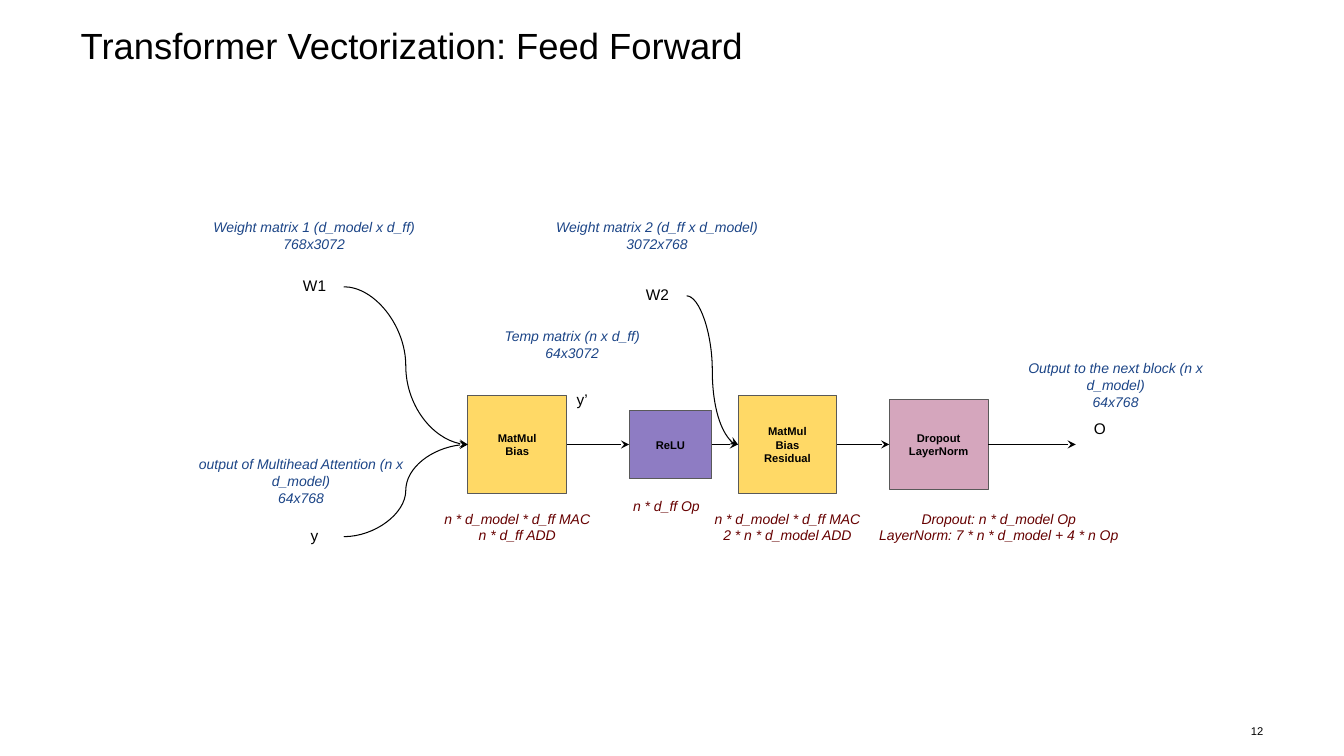
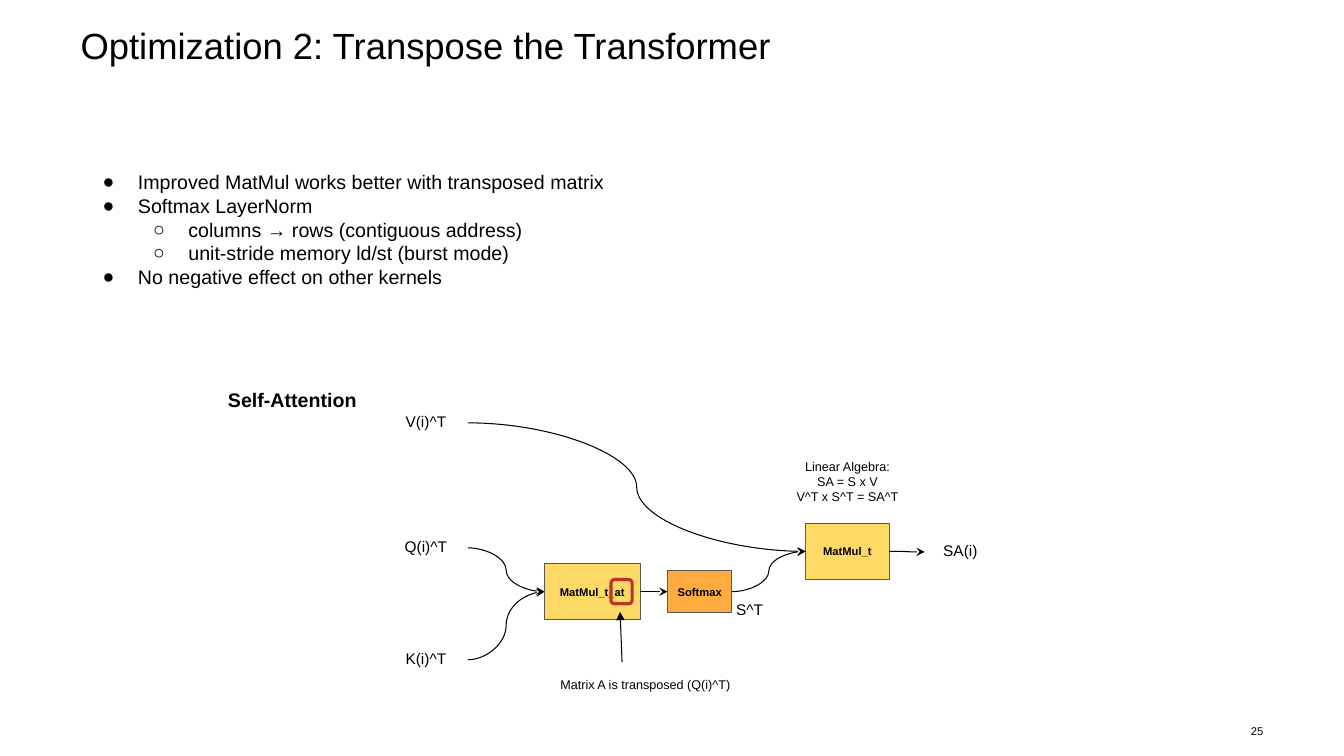
import pptx
import pptx.dml.color
import pptx.enum.shapes
import pptx.enum.text
import pptx.oxml
import pptx.oxml.ns
import pptx.util

Inches = pptx.util.Inches
ALIGN = pptx.enum.text.PP_ALIGN
ANCHOR = pptx.enum.text.MSO_ANCHOR
SHAPE = pptx.enum.shapes.MSO_SHAPE
LINK = pptx.enum.shapes.MSO_CONNECTOR

FONT = "Arial"
COLORS = {
    "black": "000000",
    "edge": "595959",
    "blue": "1C4587",
    "wine": "660000",
    "yellow": "FFD966",
    "purple": "8E7CC3",
    "pink": "D5A6BD",
    "orange": "FFAB40",
    "red": "B7352D",
}
# Text styles: size, colour, bold, italic
STYLES = {
    "title": (26, "black", False, False),
    "page": (8, "black", False, False),
    "list": (14, "black", False, False),
    "head": (14, "black", True, False),
    "node": (8, "black", True, False),
    "name": (11, "black", False, False),
    "note": (9, "black", False, False),
    "dims": (10, "blue", False, True),
    "cost": (10, "wine", False, True),
}
PAD = 0.1
LEFT, RIGHT = 1, 3  # connection sites of a rectangle


def color(name):
    return pptx.dml.color.RGBColor.from_string(COLORS[name])


def add_xml(parent, tag, **attrs):
    item = pptx.oxml.parse_xml(f"<a:{tag} {pptx.oxml.ns.nsdecls('a')}/>")
    for key, value in attrs.items():
        item.set(key, value)
    parent.append(item)
    return item


# Text
def write(shape, lines, style, align=ALIGN.CENTER, pad=PAD, anchor=ANCHOR.TOP):
    frame = shape.text_frame
    frame.word_wrap = True
    frame.vertical_anchor = anchor
    frame.margin_left = frame.margin_right = Inches(pad)
    frame.margin_top = frame.margin_bottom = Inches(pad)
    size, tint, bold, slant = STYLES[style]
    for i, line in enumerate(lines):
        para = frame.add_paragraph() if i else frame.paragraphs[0]
        para.alignment = align
        run = para.add_run()
        run.text = line
        font = run.font
        font.name, font.size = FONT, pptx.util.Pt(size)
        font.bold, font.italic = bold, slant
        font.color.rgb = color(tint)
    return frame.paragraphs


def label(slide, at, lines, style, align=ALIGN.CENTER):
    box = slide.shapes.add_textbox(*map(Inches, at))
    write(box, lines, style, align)
    return box


def add_list(slide, at, items):
    box = slide.shapes.add_textbox(*map(Inches, at))
    paras = write(box, [text for _, text in items], "list", ALIGN.LEFT)
    for para, (level, _) in zip(paras, items):
        para.level = level
        props = para._p.get_or_add_pPr()
        props.set("marL", str(Inches(0.5 * (level + 1))))
        props.set("indent", str(Inches(-0.35)))
        tint = add_xml(props, "buClr")
        add_xml(tint, "srgbClr", val=COLORS["black"])
        add_xml(props, "buFont", typeface=FONT)
        add_xml(props, "buChar", char="●○"[level])


# Nodes, placed by left edge and middle line
def node(slide, left, mid, width, height, fill, lines):
    at = (left, mid - height / 2, width, height)
    box = slide.shapes.add_shape(SHAPE.RECTANGLE, *map(Inches, at))
    box.shadow.inherit = False
    box.fill.solid()
    box.fill.fore_color.rgb = color(fill)
    box.line.color.rgb = color("edge")
    box.line.width = pptx.util.Pt(0.75)
    write(box, lines, "node", anchor=ANCHOR.MIDDLE)
    return box


def frame_mark(slide, at):
    mark = slide.shapes.add_shape(SHAPE.ROUNDED_RECTANGLE, *map(Inches, at))
    mark.shadow.inherit = False
    mark.fill.background()
    mark.line.color.rgb = color("red")
    mark.line.width = pptx.util.Pt(2.25)


# Arrows
def arrow(slide, start, end, kind=LINK.CURVE, head="stealth"):
    line = slide.shapes.add_connector(kind, *start, *end)
    line.line.color.rgb = color("black")
    line.line.width = pptx.util.Pt(0.75)
    add_xml(line.line._get_or_add_ln(), "tailEnd", type=head)
    add_xml(line._element.spPr, "effectLst")
    return line


def port(shape, site):
    edge = shape.left + (shape.width if site == RIGHT else 0)
    return edge, shape.top + shape.height // 2


def join(slide, first, last):
    line = arrow(slide, port(first, RIGHT), port(last, LEFT))
    line.begin_connect(first, RIGHT)
    line.end_connect(last, LEFT)


# Shared slide frame
def new_slide(deck, title, page):
    slide = deck.slides.add_slide(deck.slide_layouts[6])
    box = slide.shapes.add_textbox(*map(Inches, (0.8, 0.28, 11.73, 0.98)))
    write(box, [title], "title", ALIGN.LEFT, 0)[0].line_spacing = 0.9
    box = slide.shapes.add_textbox(*map(Inches, (12.18, 7.13, 0.35, 0.24)))
    write(box, [page], "page", ALIGN.RIGHT, 0, ANCHOR.MIDDLE)
    return slide


def feed_forward(deck):
    slide = new_slide(deck, "Transformer Vectorization: Feed Forward", "12")
    mid = 4.41

    # Chain of kernels
    first = node(slide, 4.64, mid, 0.98, 0.98, "yellow", ["MatMul", "Bias"])
    relu = node(slide, 6.24, mid, 0.82, 0.68, "purple", ["ReLU"])
    second = node(slide, 7.32, mid, 0.98, 0.98, "yellow",
                  ["MatMul", "Bias", "Residual"])
    norm = node(slide, 8.82, mid, 0.98, 0.89, "pink", ["Dropout", "LayerNorm"])

    # Inputs and outputs
    in_y = label(slide, (2.83, 5.13, 0.58, 0.39), ["y"], "name")
    in_w1 = label(slide, (2.83, 2.65, 0.58, 0.39), ["W1"], "name")
    in_w2 = label(slide, (6.23, 2.74, 0.58, 0.39), ["W2"], "name")
    label(slide, (5.62, 3.78, 0.58, 0.39), ["y’"], "name", ALIGN.LEFT)
    label(slide, (10.75, 4.07, 0.58, 0.39), ["O"], "name", ALIGN.LEFT)

    for pair in ((in_y, first), (in_w1, first), (first, relu),
                 (relu, second), (in_w2, second), (second, norm)):
        join(slide, *pair)
    out = arrow(slide, port(norm, RIGHT), (Inches(10.67), Inches(mid)))
    out.begin_connect(norm, RIGHT)

    # Matrix sizes
    for at, lines in (
        ((1.66, 4.42, 2.65, 0.71),
         ["output of Multihead Attention (n x d_model)", "64x768"]),
        ((1.79, 2.07, 2.65, 0.54),
         ["Weight matrix 1 (d_model x d_ff)", "768x3072"]),
        ((5.19, 2.07, 2.65, 0.54),
         ["Weight matrix 2 (d_ff x d_model)", "3072x768"]),
        ((4.56, 3.15, 2.23, 0.54), ["Temp matrix (n x d_ff)", "64x3072"]),
        ((9.95, 3.47, 2.23, 0.71),
         ["Output to the next block (n x d_model)", "64x768"]),
    ):
        label(slide, at, lines, "dims")

    # Operation counts
    for at, lines in (
        ((4.28, 4.96, 1.7, 0.54), ["n * d_model * d_ff MAC", "n * d_ff ADD"]),
        ((5.76, 4.85, 1.7, 0.37), ["n * d_ff Op"]),
        ((6.96, 4.96, 1.7, 0.54),
         ["n * d_model * d_ff MAC", "2 * n * d_model ADD"]),
        ((8.58, 4.96, 2.65, 0.54),
         ["Dropout: n * d_model Op", "LayerNorm: 7 * n * d_model + 4 * n Op"]),
    ):
        label(slide, at, lines, "cost")


def transpose(deck):
    slide = new_slide(deck, "Optimization 2: Transpose the Transformer", "25")
    add_list(slide, (0.77, 1.59, 7.14, 1.38), [
        (0, "Improved MatMul works better with transposed matrix"),
        (0, "Softmax LayerNorm"),
        (1, "columns → rows (contiguous address)"),
        (1, "unit-stride memory ld/st (burst mode)"),
        (0, "No negative effect on other kernels"),
    ])

    # Inputs and output
    in_v, in_q, in_k = (
        label(slide, (3.81, top, 0.83, 0.39), [text], "name")
        for top, text in ((4, "V(i)^T"), (5.24, "Q(i)^T"), (6.35, "K(i)^T")))
    label(slide, (7.19, 5.86, 0.49, 0.39), ["S^T"], "name")
    out = label(slide, (9.17, 5.28, 0.71, 0.39), ["SA(i)"], "name")

    # Kernels
    first = node(slide, 5.4, 5.87, 0.95, 0.56, "yellow", ["MatMul_t_at"])
    soft = node(slide, 6.62, 5.87, 0.64, 0.42, "orange", ["Softmax"])
    last = node(slide, 7.99, 5.47, 0.83, 0.56, "yellow", ["MatMul_t"])
    for pair in ((in_q, first), (in_k, first), (first, soft),
                 (in_v, last), (soft, last), (last, out)):
        join(slide, *pair)

    # Marked suffix and notes
    arrow(slide, (Inches(6.17), Inches(6.57)), (Inches(6.15), Inches(6.07)),
          LINK.STRAIGHT, "triangle")
    frame_mark(slide, (6.06, 5.75, 0.21, 0.24))
    label(slide, (5.34, 6.64, 2.12, 0.35),
          ["Matrix A is transposed (Q(i)^T)"], "note")
    label(slide, (7, 4.45, 2.81, 0.66),
          ["Linear Algebra:", "SA = S x V", "V^T x S^T = SA^T"], "note")
    label(slide, (1.84, 3.75, 2.12, 0.44), ["Self-Attention"], "head")


def main():
    deck = pptx.Presentation()
    deck.slide_width, deck.slide_height = Inches(13.33), Inches(7.5)
    feed_forward(deck)
    transpose(deck)
    deck.save("out.pptx")


if __name__ == "__main__":
    main()
